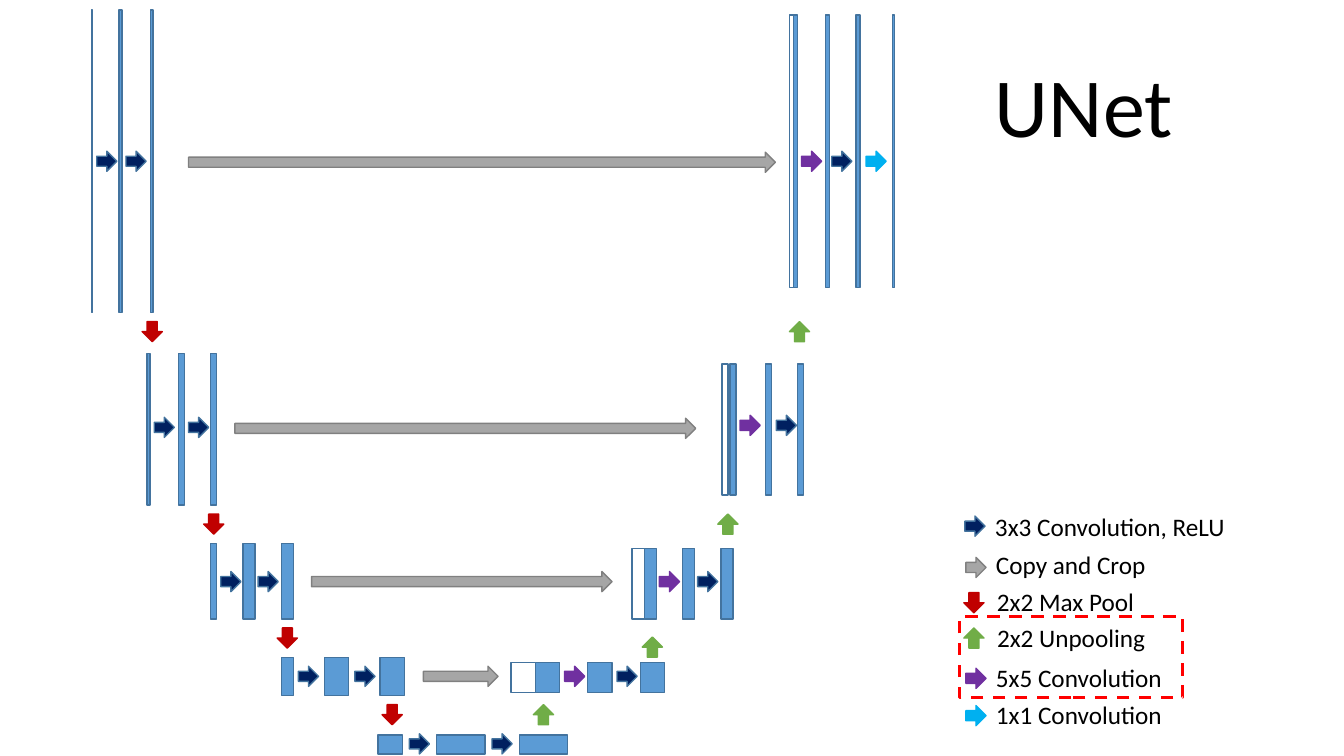
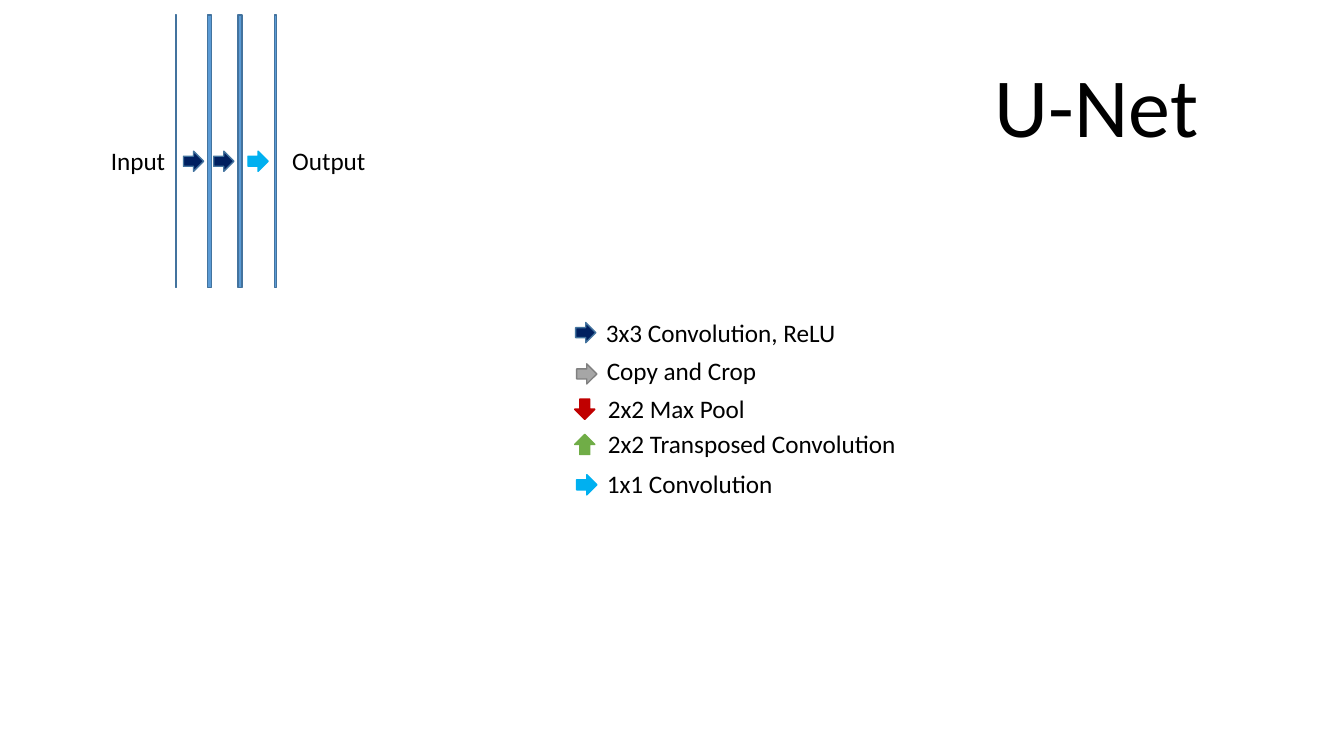
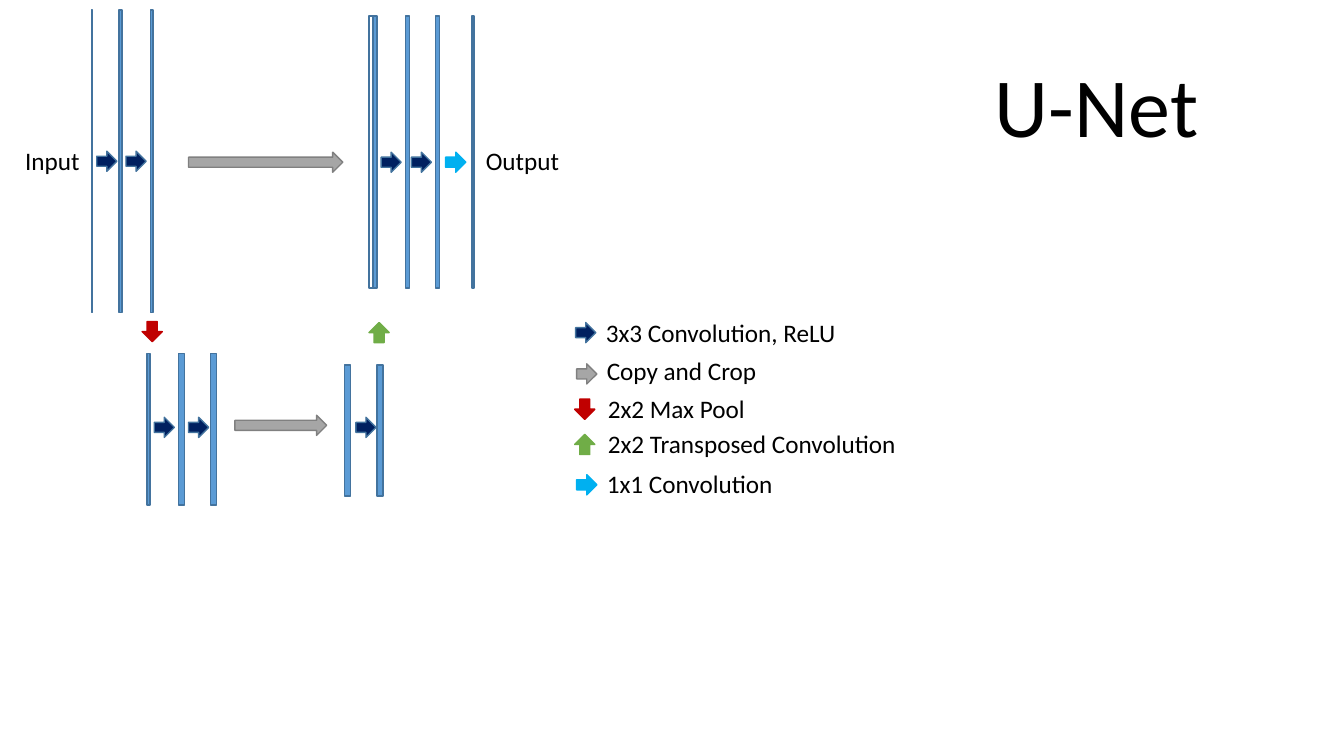
from dataclasses import dataclass

from pptx import Presentation
from pptx.dml.color import RGBColor
from pptx.enum import dml, shapes, text
from pptx.util import Inches, Pt


@dataclass(frozen=True)
class Theme:
    font: str = "Calibri"
    ink: str = "000000"
    layer: str = "5B9BD5"
    copied: str = "FFFFFF"
    edge: str = "43739E"
    accent: str = "FF0000"
    title_size: int = 60
    label_size: int = 18
    edge_width: float = 1
    accent_width: float = 2.25


THEME = Theme()
SLIDE = (13.33, 7.5)
ARROW = 0.2
LABEL_HEIGHT = 0.4
SHAPE = shapes.MSO_SHAPE

OPERATIONS = {
    "conv": (SHAPE.RIGHT_ARROW, "002060", "43739E"),
    "copy": (SHAPE.RIGHT_ARROW, "A6A6A6", "808080"),
    "pool": (SHAPE.DOWN_ARROW, "C00000", "C00000"),
    "up": (SHAPE.UP_ARROW, "70AD47", "70AD47"),
    "wide": (SHAPE.RIGHT_ARROW, "7030A0", "7030A0"),
    "point": (SHAPE.RIGHT_ARROW, "00B0F0", "00B0F0"),
}

LEGEND_ROWS = (0, 0.38, 0.75, 1.1, 1.5, 1.87)
LEGEND_NUDGES = {
    "conv": (0, 0.1, 0), "copy": (0.01, 0.13, 0.01),
    "pool": (-0.01, 0.11, 0.02), "up": (-0.01, 0.11, 0.02),
    "wide": (0.01, 0.11, 0.01), "point": (0.01, 0.11, 0.01),
}
LEGEND_START = [
    ("conv", "3x3 Convolution, ReLU", 2.51),
    ("copy", "Copy and Crop", 1.7),
    ("pool", "2x2 Max Pool", 1.57),
]
LEGEND_POINT = ("point", "1x1 Convolution", 1.87)
LEGEND_UNPOOLING = LEGEND_START + [
    ("up", "2x2 Unpooling", 1.69),
    ("wide", "5x5 Convolution", 1.87),
    LEGEND_POINT,
]
LEGEND_TRANSPOSED = LEGEND_START + [
    ("up", "2x2 Transposed Convolution", 3.09),
    LEGEND_POINT,
]


def strip(top, height, middle, layers, arrows, copied=()):
    return dict(top=top, height=height, middle=middle,
                layers=layers, arrows=arrows, copied=copied)


def output_strip(left, top, middle, first_operation, first_width=0.04, merged=True):
    layers = [(0.04, first_width), (0.36, 0.04), (0.66, 0.04), (1.02, 0.02)]
    arrows = [(first_operation, 0.12), ("conv", 0.42), ("point", 0.76)]
    return strip(top, 2.7, middle,
                 [(left + offset, width) for offset, width in layers],
                 [(kind, left + offset) for kind, offset in arrows],
                 [(left, 0.04)] if merged else [])


ENCODER_TOP = [
    strip(0.1, 3, 1.5, [(0.91, 0.01), (1.18, 0.03), (1.49, 0.03)],
          [("conv", 0.96), ("conv", 1.25)]),
    strip(3.51, 1.5, 4.14, [(1.46, 0.03), (1.77, 0.06), (2.09, 0.06)],
          [("conv", 1.53), ("conv", 1.87)]),
]
ENCODER_DEEP = [
    strip(5.39, 0.75, 5.67, [(2.09, 0.06), (2.41, 0.12), (2.79, 0.12)],
          [("conv", 2.19), ("conv", 2.56)]),
    strip(6.52, 0.38, 6.61, [(2.79, 0.12), (3.22, 0.24), (3.77, 0.24)],
          [("conv", 2.96), ("conv", 3.52)]),
    strip(7.29, 0.19, 7.28, [(3.75, 0.24), (4.33, 0.48), (5.15, 0.48)],
          [("conv", 4.06), ("conv", 4.88)]),
]
DECODER = [
    strip(6.57, 0.3, 6.61, [(5.31, 0.24), (5.83, 0.24), (6.35, 0.24)],
          [("wide", 5.6), ("conv", 6.12)], [(5.07, 0.24)]),
    strip(5.44, 0.7, 5.67, [(6.39, 0.12), (6.77, 0.12), (7.15, 0.12)],
          [("wide", 6.54), ("conv", 6.92)], [(6.27, 0.12)]),
    strip(3.61, 1.3, 4.12, [(7.24, 0.06), (7.59, 0.06), (7.91, 0.06)],
          [("wide", 7.34), ("conv", 7.7)], [(7.16, 0.06)]),
    output_strip(7.83, 0.15, 1.5, "wide"),
]
SHALLOW_DECODER = [
    strip(3.62, 1.3, 4.14, [(3.42, 0.06), (3.74, 0.06)], [("conv", 3.53)]),
    output_strip(3.66, 0.16, 1.51, "conv"),
]

PAGES = [
    dict(
        title=("UNet", 1.97),
        strips=ENCODER_TOP + ENCODER_DEEP + DECODER,
        links=[
            ("pool", 1.41, 3.19), ("pool", 2.02, 5.1),
            ("pool", 2.75, 6.23), ("pool", 3.79, 6.99),
            ("up", 5.29, 6.99), ("up", 6.37, 6.32),
            ("up", 7.12, 5.1), ("up", 7.83, 3.19),
            ("copy", 1.87, 1.51, 5.82), ("copy", 2.33, 4.15, 4.57),
            ("copy", 3.09, 5.67, 2.98), ("copy", 4.2, 6.61, 0.74),
        ],
        legend=(9.57, 5.02, LEGEND_UNPOOLING),
        labels=[],
        highlight=(9.52, 6.12, 2.21, 0.8),
    ),
    dict(
        title=("U-Net", 2.6),
        strips=[output_strip(1.7, 0.15, 1.5, "conv", 0.01, False)],
        links=[],
        legend=(5.71, 3.1, LEGEND_TRANSPOSED),
        labels=[("Input", 1, 0.75), ("Output", 2.8, 0.94)],
    ),
    dict(
        title=("U-Net", 2.6),
        strips=ENCODER_TOP + SHALLOW_DECODER,
        links=[
            ("pool", 1.41, 3.19), ("up", 3.66, 3.2),
            ("copy", 1.87, 1.51, 1.53), ("copy", 2.33, 4.12, 0.91),
        ],
        legend=(5.71, 3.1, LEGEND_TRANSPOSED),
        labels=[("Input", 0.15, 0.75), ("Output", 4.72, 0.94)],
    ),
]


def add_figure(page, preset, area, fill, edge, width=THEME.edge_width):
    figure = page.shapes.add_shape(preset, *map(Inches, area))
    figure.shadow.inherit = False
    if fill:
        figure.fill.solid()
        figure.fill.fore_color.rgb = RGBColor.from_string(fill)
    else:
        figure.fill.background()
    figure.line.color.rgb = RGBColor.from_string(edge)
    figure.line.width = Pt(width)
    return figure


def add_arrow(page, kind, left, top, length=ARROW):
    preset, fill, edge = OPERATIONS[kind]
    add_figure(page, preset, (left, top, length, ARROW), fill, edge)


def add_text(page, words, area, size, wrap=False):
    box = page.shapes.add_textbox(*map(Inches, area))
    frame = dict(word_wrap=wrap, auto_size=text.MSO_AUTO_SIZE.SHAPE_TO_FIT_TEXT)
    for name, value in frame.items():
        setattr(box.text_frame, name, value)
    span = box.text_frame.paragraphs[0].add_run()
    span.text = words
    for name, value in dict(name=THEME.font, size=Pt(size)).items():
        setattr(span.font, name, value)
    span.font.color.rgb = RGBColor.from_string(THEME.ink)


def add_strip(page, row):
    for fill, blocks in ((THEME.layer, row["layers"]), (THEME.copied, row["copied"])):
        for left, width in blocks:
            area = (left, row["top"], width, row["height"])
            add_figure(page, SHAPE.RECTANGLE, area, fill, THEME.edge)
    for kind, left in row["arrows"]:
        add_arrow(page, kind, left, row["middle"])


def add_legend(page, left, top, entries):
    for offset, (kind, words, width) in zip(LEGEND_ROWS, entries):
        arrow_x, arrow_y, label_x = LEGEND_NUDGES[kind]
        add_arrow(page, kind, left + arrow_x, top + offset + arrow_y)
        area = (left + ARROW + label_x, top + offset, width, LABEL_HEIGHT)
        add_text(page, words, area, THEME.label_size)


def add_page(deck, content):
    page = deck.slides.add_slide(deck.slide_layouts[6])
    for row in content["strips"]:
        add_strip(page, row)
    for link in content["links"]:
        add_arrow(page, *link)
    add_legend(page, *content["legend"])
    words, width = content["title"]
    add_text(page, words, (9.77, 0.48, width, 1.11), THEME.title_size, True)
    for words, left, width in content["labels"]:
        add_text(page, words, (left, 1.39, width, LABEL_HEIGHT), THEME.label_size)
    if "highlight" in content:
        frame = add_figure(page, SHAPE.RECTANGLE, content["highlight"],
                           None, THEME.accent, THEME.accent_width)
        frame.line.dash_style = dml.MSO_LINE.DASH


def main():
    deck = Presentation()
    deck.slide_width, deck.slide_height = map(Inches, SLIDE)
    for content in PAGES:
        add_page(deck, content)
    deck.save("out.pptx")


if __name__ == "__main__":
    main()
